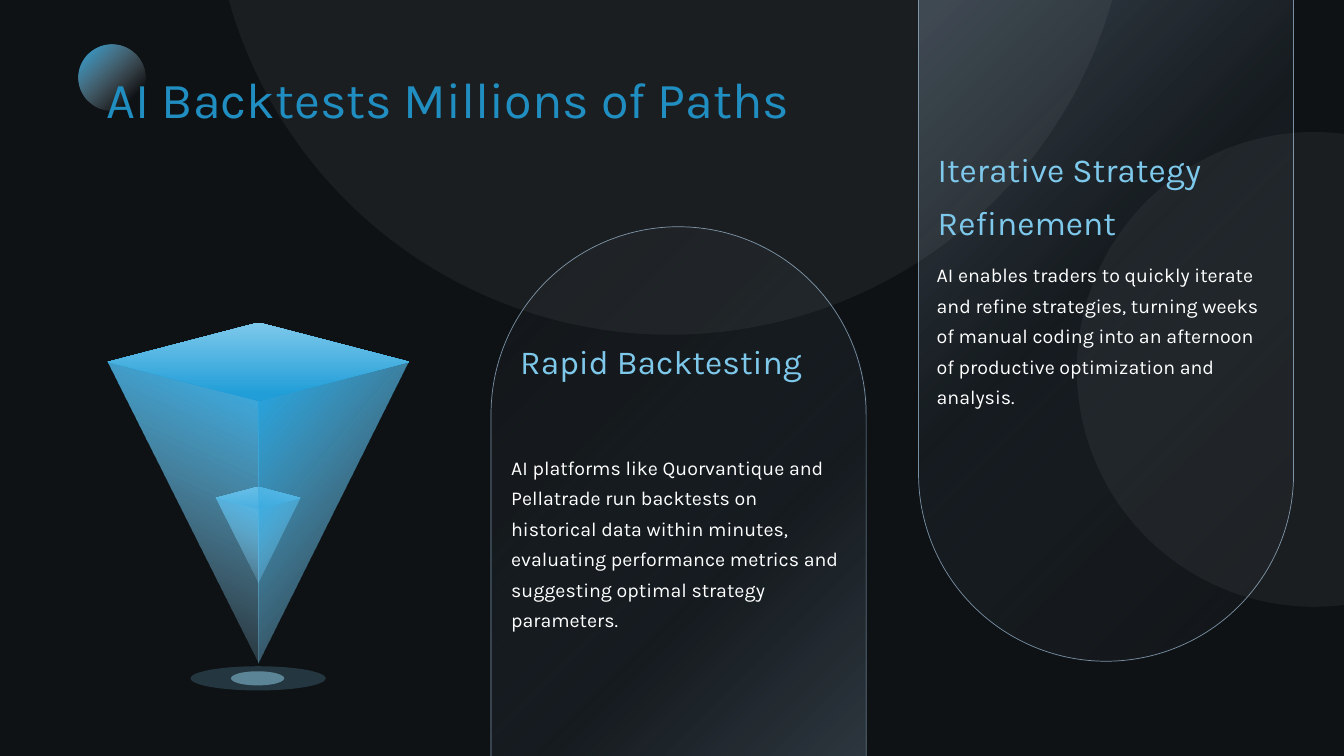
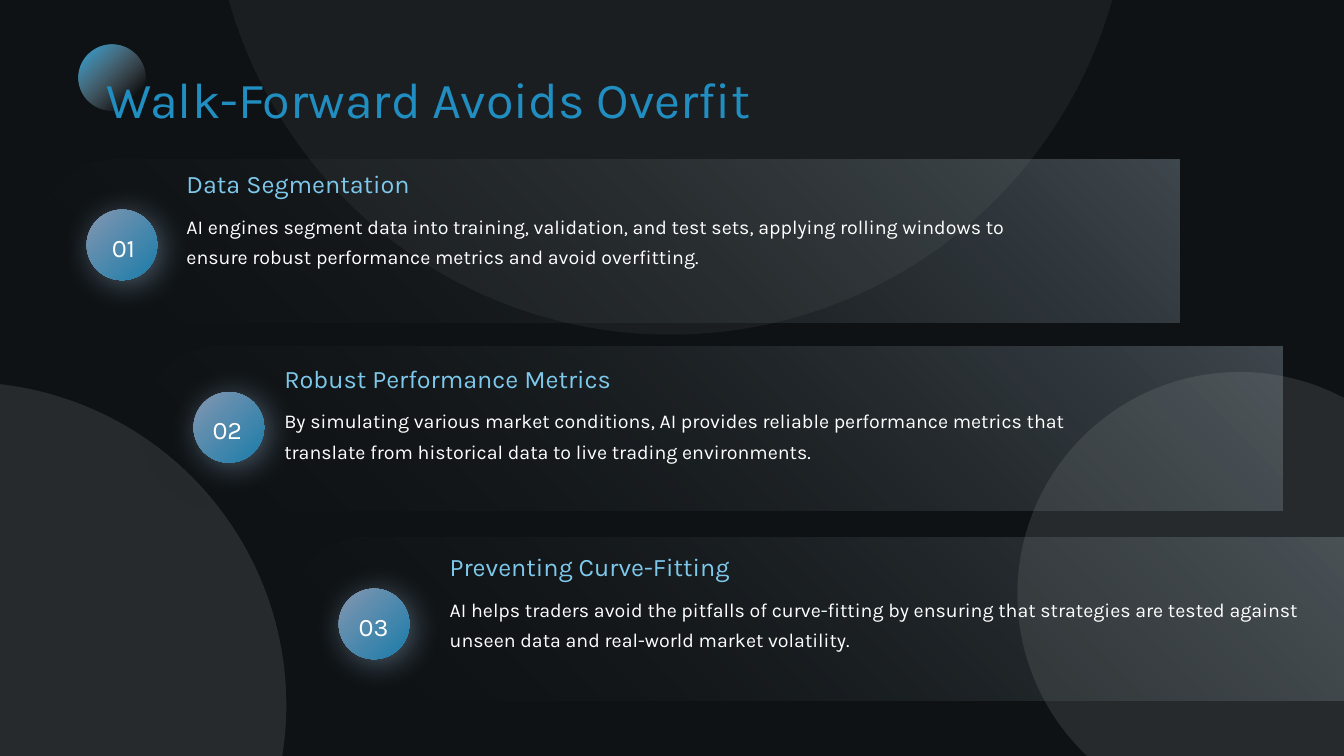
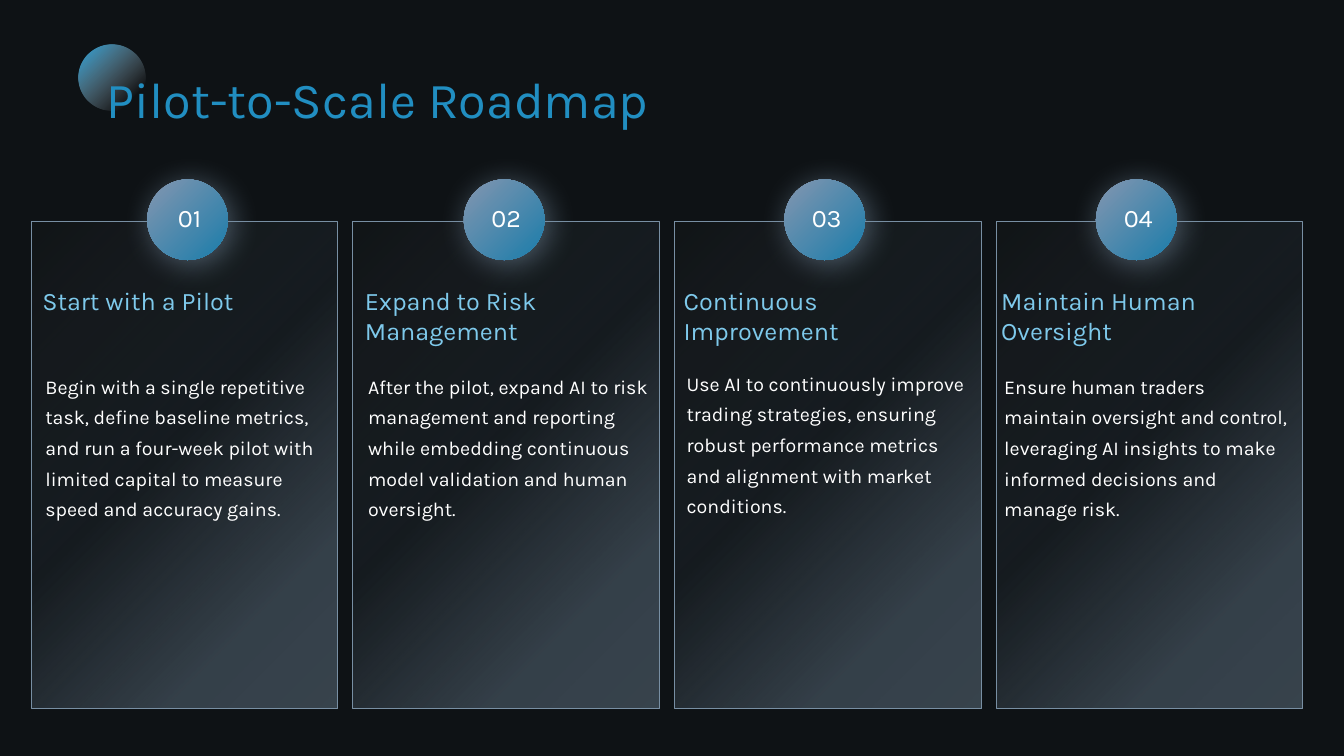
from dataclasses import dataclass

from pptx import Presentation
from pptx.dml.color import RGBColor
from pptx.enum.shapes import MSO_SHAPE as Geo
from pptx.enum.text import MSO_AUTO_SIZE as Fit, MSO_ANCHOR as Anchor, PP_ALIGN as Align
from pptx.oxml import parse_xml
from pptx.oxml.ns import nsdecls, qn
from pptx.util import Inches, Pt

Stop = tuple[int, str, int]  # position %, colour, opacity %
Box = tuple[float, float, float, float]  # left, top, width, height
Point = tuple[float, float]


@dataclass(frozen=True)
class Theme:
    font: str = "Karla"
    back: str = "0E1215"
    title: str = "218EC1"
    head: str = "7EC9EB"
    text: str = "FFFFFF"
    edge: str = "788FA3"
    big: int = 36
    mid: int = 24
    small: int = 18
    body: int = 14
    panel: tuple[Stop, ...] = ((0, "788FA3", 39), (22, "788FA3", 36),
                               (54, "788FA3", 7), (100, "232322", 15))
    badge: tuple[Stop, ...] = ((0, "8496B0", 100), (100, "1A7CAA", 100))
    bar: tuple[Stop, ...] = ((0, "A4B6C2", 33), (100, "232322", 0))
    dot: tuple[Stop, ...] = ((0, "28A4DE", 100), (81, "C5C9CE", 0), (100, "C5C9CE", 0))
    lid: tuple[Stop, ...] = ((0, "219ED8", 100), (9, "219ED8", 100), (100, "7EC9EB", 100))
    left: tuple[Stop, ...] = ((0, "3CACE1", 100), (7, "3CACE1", 100), (100, "A9DAF2", 0))
    right: tuple[Stop, ...] = ((0, "28A4DE", 100), (7, "28A4DE", 100), (100, "A9DAF2", 0))


LOOK = Theme()


@dataclass(frozen=True)
class Panel:
    box: Box
    turn: int
    head: str
    spot: Box
    body: str
    place: Box


@dataclass(frozen=True)
class Step:
    bar: Point
    badge: Point
    mark: float
    text: Point
    wide: float
    head: str
    body: str


@dataclass(frozen=True)
class Card:
    badge: float
    text: float
    top: float
    head: str
    body: str


PANELS = (
    Panel((4.87, 2.25, 3.72, 9.03), 0,
          "Rapid Backtesting", (5.11, 3.21, 3.29, 1.5),
          "AI platforms like Quorvantique and Pellatrade run backtests on historical data "
          "within minutes, evaluating performance metrics and suggesting optimal strategy "
          "parameters.", (5.02, 4.4, 3.43, 1.88)),
    Panel((9.11, -2.47, 3.72, 9.03), 180,
          "Iterative Strategy Refinement", (9.25, 1.31, 3.25, 1.5),
          "AI enables traders to quickly iterate and refine strategies, turning weeks of "
          "manual coding into an afternoon of productive optimization and analysis.",
          (9.24, 2.49, 3.43, 1.56)),
)

STEPS = (
    Step((0.36, 1.58), (0.86, 2.08), 0.86, (1.8, 1.62), 8.44, "Data Segmentation",
         "AI engines segment data into training, validation, and test sets, applying "
         "rolling windows to ensure robust performance metrics and avoid overfitting."),
    Step((1.38, 3.44), (1.92, 3.89), 1.89, (2.77, 3.55), 8.44, "Robust Performance Metrics",
         "By simulating various market conditions, AI provides reliable performance metrics "
         "that translate from historical data to live trading environments."),
    Step((2.84, 5.33), (3.36, 5.84), 3.34, (4.41, 5.42), 8.58, "Preventing Curve-Fitting",
         "AI helps traders avoid the pitfalls of curve-fitting by ensuring that strategies "
         "are tested against unseen data and real-world market volatility."),
)

CARDS = (
    Card(1.46, 0.42, 3.6, "Start with a Pilot",
         "Begin with a single repetitive task, define baseline metrics, and run a four-week "
         "pilot with limited capital to measure speed and accuracy gains."),
    Card(4.6, 3.62, 3.6, "Expand to Risk Management",
         "After the pilot, expand AI to risk management and reporting while embedding "
         "continuous model validation and human oversight."),
    Card(7.78, 6.78, 3.57, "Continuous Improvement",
         "Use AI to continuously improve trading strategies, ensuring robust performance "
         "metrics and alignment with market conditions."),
    Card(10.87, 9.93, 3.6, "Maintain Human Oversight",
         "Ensure human traders maintain oversight and control, leveraging AI insights to "
         "make informed decisions and manage risk."),
)


# Fills and shapes
def tint(hue: str, alpha: int) -> str:
    return f'<a:srgbClr val="{hue}"><a:alpha val="{alpha * 1000}"/></a:srgbClr>'


def paint(shape, inner: str) -> None:
    """Replace the fill of a shape with the given XML."""
    shape.fill.background()
    none = shape.element.spPr.find(qn("a:noFill"))
    none.getparent().replace(none, parse_xml(inner))


def solid(shape, hue: str, alpha: int) -> None:
    paint(shape, f'<a:solidFill {nsdecls("a")}>{tint(hue, alpha)}</a:solidFill>')


def grade(shape, stops: tuple[Stop, ...], angle: int) -> None:
    rows = "".join(f'<a:gs pos="{at * 1000}">{tint(hue, alpha)}</a:gs>'
                   for at, hue, alpha in stops)
    paint(shape, f'<a:gradFill {nsdecls("a")} rotWithShape="1"><a:gsLst>{rows}</a:gsLst>'
                 f'<a:lin ang="{angle * 60000}" scaled="0"/></a:gradFill>')


def draw(slide, kind: Geo, box: Box, turn: int = 0):
    shape = slide.shapes.add_shape(kind, *map(Inches, box))
    shape.shadow.inherit = False
    shape.line.fill.background()
    shape.rotation = turn
    return shape


def disc(slide, box: Box, hue: str, alpha: int) -> None:
    solid(draw(slide, Geo.OVAL, box), hue, alpha)


def arch(slide, box: Box, turn: int):
    shape = draw(slide, Geo.ROUND_2_SAME_RECTANGLE, box, turn)
    shape.adjustments[0], shape.adjustments[1] = 0.5, 0
    return shape


def frame(shape) -> None:
    """Give a panel its glassy fill and thin edge."""
    grade(shape, LOOK.panel, 225)
    shape.line.color.rgb = RGBColor.from_string(LOOK.edge)
    shape.line.width = Pt(0.5)


def badge(slide, x: float, y: float, size: float) -> None:
    shape = draw(slide, Geo.OVAL, (x, y, size, size))
    grade(shape, LOOK.badge, 45)
    glow = shape.element.spPr.find(qn("a:effectLst"))
    glow.append(parse_xml(
        f'<a:outerShdw {nsdecls("a")} blurRad="{Pt(22.9)}" dist="{Pt(4)}" dir="2700000" '
        f'algn="tl" rotWithShape="0">{tint(LOOK.edge, 60)}</a:outerShdw>'))


# Text
def write(slide, text: str, box: Box, size: int, hue: str, gap: float = 1.0,
          pad: float = 0.05, grow: bool = True, align: Align = Align.LEFT) -> None:
    frm = slide.shapes.add_textbox(*map(Inches, box)).text_frame
    frm.word_wrap = True
    frm.auto_size = Fit.SHAPE_TO_FIT_TEXT if grow else Fit.NONE
    frm.vertical_anchor = Anchor.TOP
    frm.margin_left = frm.margin_right = frm.margin_top = frm.margin_bottom = Inches(pad)
    frm.text = text
    para = frm.paragraphs[0]
    para.alignment = align
    para.line_spacing = gap
    font = para.runs[0].font
    font.name, font.size = LOOK.font, Pt(size)
    font.color.rgb = RGBColor.from_string(hue)


def prose(slide, text: str, box: Box) -> None:
    write(slide, text, box, LOOK.body, LOOK.text, 1.3)


def label(slide, num: int, box: Box, gap: float) -> None:
    write(slide, f"{num:02}", box, LOOK.small, LOOK.text, gap, 0, False, Align.CENTER)


# Shared slide parts
def start(deck):
    slide = deck.slides.add_slide(deck.slide_layouts[6])
    fill = slide.background.fill
    fill.solid()
    fill.fore_color.rgb = RGBColor.from_string(LOOK.back)
    return slide


def title(slide, text: str) -> None:
    grade(draw(slide, Geo.OVAL, (0.78, 0.44, 0.66, 0.66)), LOOK.dot, 45)
    write(slide, text, (1.06, 0.56, 11.51, 0.72), LOOK.big, LOOK.title, 1.2, 0)


# Inverted pyramid
def facet(slide, points: tuple[Point, ...], stops: tuple[Stop, ...], angle: int) -> None:
    first, *rest = [(Inches(x), Inches(y)) for x, y in points]
    pen = slide.shapes.build_freeform(*first)
    pen.add_line_segments(rest, close=True)
    shape = pen.convert_to_shape()
    shape.shadow.inherit = False
    shape.line.fill.background()
    grade(shape, stops, angle)


def sides(slide, mid: float, half: float, rim: float, fold: float, tip: float) -> None:
    for edge, stops, angle in ((mid - half, LOOK.left, 115), (mid + half, LOOK.right, 40)):
        facet(slide, ((mid, fold), (mid, tip), (edge, rim)), stops, angle)


def lid(slide, box: Box) -> None:
    grade(draw(slide, Geo.FLOWCHART_DECISION, box), LOOK.lid, 270)


def gem(slide) -> None:
    sides(slide, 2.56, 0.42, 4.94, 5.05, 5.79)
    lid(slide, (2.14, 4.83, 0.84, 0.22))
    sides(slide, 2.56, 1.49, 3.59, 3.98, 6.58)
    disc(slide, (1.89, 6.61, 1.34, 0.24), "7EC9EB", 20)
    lid(slide, (1.07, 3.2, 2.99, 0.78))
    disc(slide, (2.29, 6.66, 0.53, 0.14), "93D2EF", 50)


# Slides
def tests(deck) -> None:
    slide = start(deck)
    for panel in PANELS:
        frame(arch(slide, panel.box, panel.turn))
    disc(slide, (2.1, -5.78, 9.1, 9.1), "FFFFFF", 5)
    disc(slide, (10.68, 1.31, 4.71, 4.71), "FFFFFF", 5)
    gem(slide)
    title(slide, "AI Backtests Millions of Paths")
    for panel in PANELS:
        write(slide, panel.head, panel.spot, LOOK.mid, LOOK.head, 1.3, grow=False)
        prose(slide, panel.body, panel.place)


def walk(deck) -> None:
    slide = start(deck)
    disc(slide, (2.1, -5.78, 9.1, 9.1), "FFFFFF", 5)
    disc(slide, (-3.57, 3.79, 6.41, 6.41), "FFFFFF", 10)
    disc(slide, (10.09, 3.69, 4.41, 4.41), "FFFFFF", 10)
    long, thick = 11.34, 1.62
    shift = (long - thick) / 2
    for step in STEPS:
        x, y = step.bar
        bar = arch(slide, (x + shift, y - shift, thick, long), 270)
        grade(bar, LOOK.bar, 225)
    for step in STEPS:
        badge(slide, *step.badge, 0.7)
    title(slide, "Walk-Forward Avoids Overfit")
    for num, step in enumerate(STEPS, 1):
        x, y = step.text
        label(slide, num, (step.mark, step.badge[1] + 0.19, 0.73, 0.32), 1.1)
        write(slide, step.head, (x, y, 8.44, 0.31), LOOK.small, LOOK.head)
        prose(slide, step.body, (x, y + 0.39, step.wide, 0.63))


def plan(deck) -> None:
    slide = start(deck)
    for col in range(len(CARDS)):
        frame(draw(slide, Geo.RECTANGLE, (0.31 + col * 3.19, 2.2, 3.04, 4.83)))
    for card in CARDS:
        badge(slide, card.badge, 1.78, 0.8)
    title(slide, "Pilot-to-Scale Roadmap")
    for num, card in enumerate(CARDS, 1):
        label(slide, num, (card.badge, 2.01, 0.84, 0.37), 1.0)
        write(slide, card.head, (card.text, 2.83, 2.85, 0.65), LOOK.small, LOOK.head, pad=0)
        prose(slide, card.body, (card.text - 0.02, card.top, 2.91, 1.56))


def main() -> None:
    deck = Presentation()
    deck.slide_width, deck.slide_height = Inches(13.33), Inches(7.5)
    for build in (tests, walk, plan):
        build(deck)
    deck.save("out.pptx")


if __name__ == "__main__":
    main()
